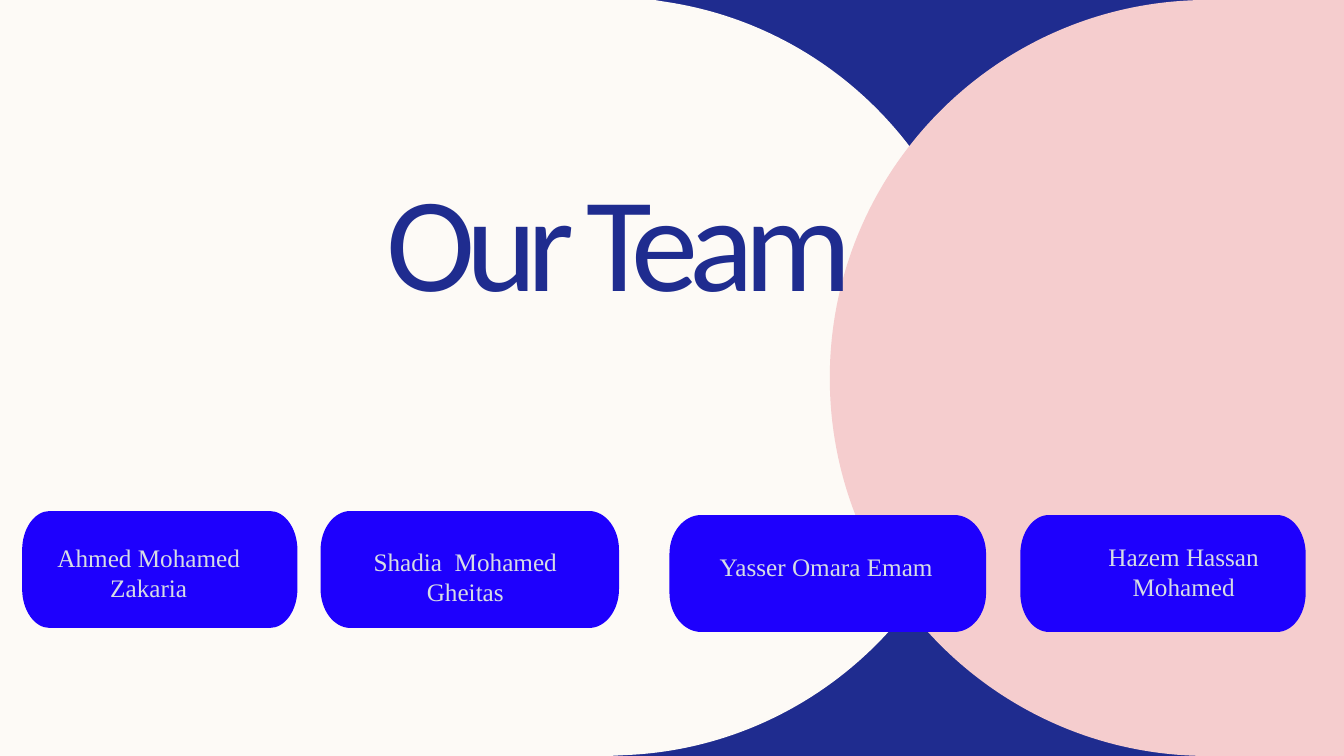
from lxml import etree
from pptx import Presentation
from pptx.dml.color import RGBColor
from pptx.enum.text import MSO_AUTO_SIZE, PP_ALIGN
from pptx.oxml.ns import qn
from pptx.util import Inches, Pt

CENTER, LEFT = PP_ALIGN.CENTER, PP_ALIGN.LEFT
GROW = MSO_AUTO_SIZE.SHAPE_TO_FIT_TEXT

NAVY, CREAM, PINK = "1F2C8F", "FDFAF6", "F5CDCE"
BLUE, GREY = "1E00FD", "D6DCE5"
ARC = 0.55
BUTTON_H = 1.16

CREAM_PATH = [
    (0, 0), (6.49, 0), (6.61, 0.02),
    (8.41, 0.29, 9.79, 1.85, 9.79, 3.74),
    (9.79, 5.75, 8.21, 7.39, 6.24, 7.49),
    (6.04, 7.5), (0, 7.5),
]
PINK_PATH = [
    (11.98, 0), (13.34, 0), (13.34, 7.5), (11.98, 7.5),
    (9.91, 7.5, 8.23, 5.82, 8.23, 3.75),
    (8.23, 1.68, 9.91, 0, 11.98, 0),
]
TITLE = ("Our Team", (3.46, 1.61, 5.36, 1.62))
MEMBERS = [
    ("Ahmed Mohamed Zakaria", (0.22, 5.07, 2.73), (0.22, 5.33, 2.51, 0.71), True),
    ("Shadia  Mohamed Gheitas", (3.18, 5.07, 2.96), (3.41, 5.37, 2.41, 0.71), True),
    ("Hazem Hassan Mohamed", (10.12, 5.11, 2.83), (10.53, 5.32, 2.42, 0.71), True),
    ("Yasser Omara Emam", (6.64, 5.11, 3.14), (7.04, 5.42, 2.34, 0.4), False),
]


def color(value):
    return RGBColor.from_string(value)


def bend(line, curve, left, top):
    line.tag_name = None


def add_outline(s, path, fill):
    ends = [(Inches(step[-2]), Inches(step[-1])) for step in path]
    builder = s.shapes.build_freeform(*ends[0], scale=1.0)
    builder.add_line_segments(ends[1:], close=True)
    sp = builder.convert_to_shape()
    lines = list(sp._element.iter(qn("a:lnTo")))
    for line, step in zip(lines, path[1:]):
        if len(step) == 6:
            curve = etree.Element(qn("a:cubicBezTo"))
            for x, y in zip(step[::2], step[1::2]):
                etree.SubElement(curve, qn("a:pt"),
                                 x=str(Inches(x) - sp.left),
                                 y=str(Inches(y) - sp.top))
            line.getparent().replace(line, curve)
    sp.shadow.inherit = False
    sp.fill.solid()
    sp.fill.fore_color.rgb = color(fill)
    sp.line.fill.background()


def button_path(x, y, w, h=BUTTON_H):
    rx, ry = w / 10, h / 3
    kx, ky = rx * (1 - ARC), ry * (1 - ARC)
    r, b = x + w, y + h
    return [
        (x + rx, y), (r - rx, y),
        (r - kx, y, r, y + ky, r, y + ry), (r, b - ry),
        (r, b - ky, r - kx, b, r - rx, b), (x + rx, b),
        (x + kx, b, x, b - ky, x, b - ry), (x, y + ry),
        (x, y + ky, x + kx, y, x + rx, y),
    ]


def add_text(s, text, box, font, size, fill, align=CENTER, wrap=True,
             line_spacing=None, tracking=None):
    tf = s.shapes.add_textbox(*map(Inches, box)).text_frame
    tf.word_wrap = wrap
    tf.auto_size = GROW
    p = tf.paragraphs[0]
    p.alignment = align
    if line_spacing:
        p.line_spacing = Pt(line_spacing)
    r = p.add_run()
    r.text = text
    r.font.name = font
    r.font.size = Pt(size)
    r.font.color.rgb = color(fill)
    if tracking:
        r.font._element.set("spc", str(int(tracking * 100)))


def main():
    prs = Presentation()
    prs.slide_width, prs.slide_height = Inches(13.33), Inches(7.5)
    s = prs.slides.add_slide(prs.slide_layouts[6])
    s.background.fill.solid()
    s.background.fill.fore_color.rgb = color(NAVY)

    add_outline(s, CREAM_PATH, CREAM)
    add_outline(s, PINK_PATH, PINK)
    add_text(s, *TITLE, "Calibri", 96, NAVY, wrap=False,
             line_spacing=108.2, tracking=-6.5)
    for _, button, _, _ in MEMBERS:
        add_outline(s, button_path(*button), BLUE)
    for name, _, box, wrap in MEMBERS:
        add_text(s, name, box, "Times New Roman", 18, GREY,
                 align=CENTER if wrap else LEFT, wrap=wrap)
    prs.save("out.pptx")


if __name__ == "__main__":
    main()
